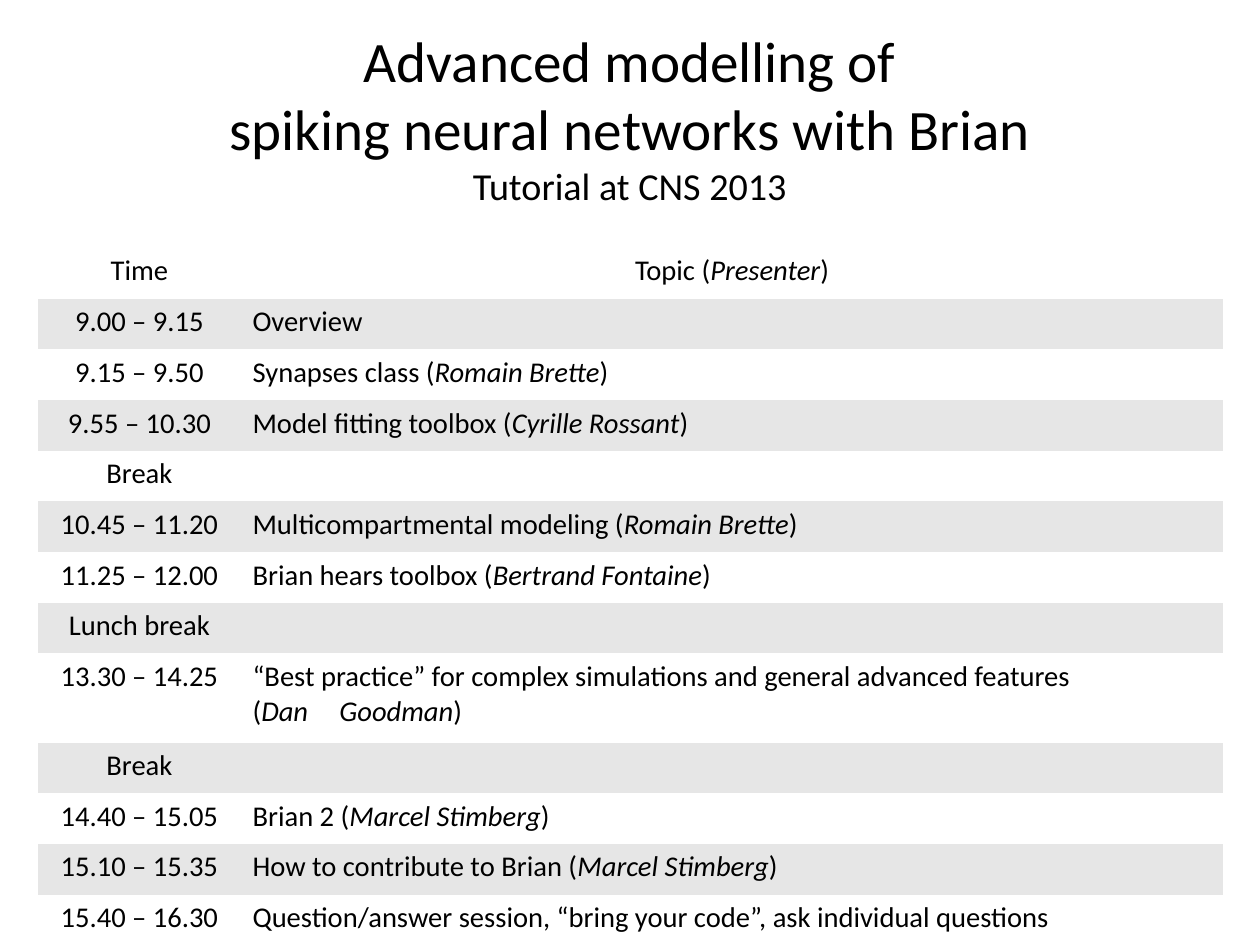
import pptx
import pptx.util
import pptx.dml.color
import pptx.enum.text
import pptx.oxml
import pptx.oxml.ns

Inches = pptx.util.Inches
Align = pptx.enum.text.PP_ALIGN
COLORS = {"ink": "000000", "plain": "FFFFFF", "band": "E6E6E6"}
BARE = "{2D5ABB26-0587-4C30-8999-92F81FD0307C}"
ROWS = [
    ("Time", "Topic", "Presenter"),
    ("9.00 – 9.15", "Overview", ""),
    ("9.15 – 9.50", "Synapses class", "Romain Brette"),
    ("9.55 – 10.30", "Model fitting toolbox", "Cyrille Rossant"),
    ("Break", "", ""),
    ("10.45 – 11.20", "Multicompartmental modeling", "Romain Brette"),
    ("11.25 – 12.00", "Brian hears toolbox", "Bertrand Fontaine"),
    ("Lunch break", "", ""),
    ("13.30 – 14.25",
     "“Best practice” for complex simulations and general advanced features",
     "Dan\tGoodman"),
    ("Break", "", ""),
    ("14.40 – 15.05", "Brian 2", "Marcel Stimberg"),
    ("15.10 – 15.35", "How to contribute to Brian", "Marcel Stimberg"),
    ("15.40 – 16.30",
     "Question/answer session, “bring your code”, ask individual questions", ""),
]


class Deck:
    """Holds the text style and the current slide."""

    def __init__(self, prs, font, size):
        self.slide = prs.slides.add_slide(prs.slide_layouts[5])
        self.font, self.size = font, size

    def color(self, name):
        return pptx.dml.color.RGBColor.from_string(COLORS[name])

    def style(self, run, size, slant=False):
        run.font.name = self.font
        run.font.size = pptx.util.Pt(size)
        run.font.italic = slant
        run.font.color.rgb = self.color("ink")

    def title(self, box, head, sub):
        shape = self.slide.shapes.title
        shape.left, shape.top, shape.width, shape.height = map(Inches, box)
        frame = shape.text_frame
        frame.margin_left = frame.margin_right = 0
        frame.margin_top = frame.margin_bottom = 0
        frame.vertical_anchor = pptx.enum.text.MSO_ANCHOR.MIDDLE
        frame.auto_size = pptx.enum.text.MSO_AUTO_SIZE.NONE
        frame.text = head + "\v" + sub
        para = frame.paragraphs[0]
        para.alignment = Align.CENTER
        for run in para.runs:
            self.style(run, 24 if run.text == sub else 36)

    def tab(self, para, stop):
        props = para._p.get_or_add_pPr()
        props.append(pptx.oxml.parse_xml(
            f'<a:tabLst {pptx.oxml.ns.nsdecls("a")}>'
            f'<a:tab pos="{Inches(stop)}" algn="l"/></a:tabLst>'))

    def cell(self, cell, text, name, align, fill):
        cell.fill.solid()
        cell.fill.fore_color.rgb = self.color(fill)
        para = cell.text_frame.paragraphs[0]
        para.alignment = align
        if "\t" in name:
            self.tab(para, 0.76)
        if name:
            gap = " \v(" if "\t" in name else " ("
            para.text = text + gap
            para.add_run().text = name
            para.add_run().text = ")"
        else:
            para.text = text
        para.font.size = pptx.util.Pt(self.size)
        for run in para.runs:
            self.style(run, self.size, run.text == name)

    def table(self, box, widths, rows, tall):
        frame = self.slide.shapes.add_table(
            len(rows), len(widths), *map(Inches, box))
        grid = frame.table
        grid.first_row = grid.horz_banding = False
        grid._tbl.tblPr.find(pptx.oxml.ns.qn("a:tableStyleId")).text = BARE
        high = (box[3] - tall) / (len(rows) - 1)
        for col, width in zip(grid.columns, widths):
            col.width = Inches(width)
        for i, (time, topic, name) in enumerate(rows):
            grid.rows[i].height = Inches(tall if "\t" in name else high)
            fill = "band" if i % 2 else "plain"
            side = Align.LEFT if i else Align.CENTER
            self.cell(grid.cell(i, 0), time, "", Align.CENTER, fill)
            self.cell(grid.cell(i, 1), topic, name, side, fill)


def main():
    prs = pptx.Presentation()
    prs.slide_width = pptx.util.Emu(10080625)
    prs.slide_height = pptx.util.Emu(7559675)
    deck = Deck(prs, "Calibri", 18)
    deck.title((0.55, 0.11, 9.92, 1.82),
               "Advanced modelling of\vspiking neural networks with Brian",
               "Tutorial at CNS 2013")
    deck.table((0.33, 2.17, 10.37, 6.1), (1.78, 8.59), ROWS, 0.78)
    prs.save("out.pptx")


if __name__ == "__main__":
    main()
